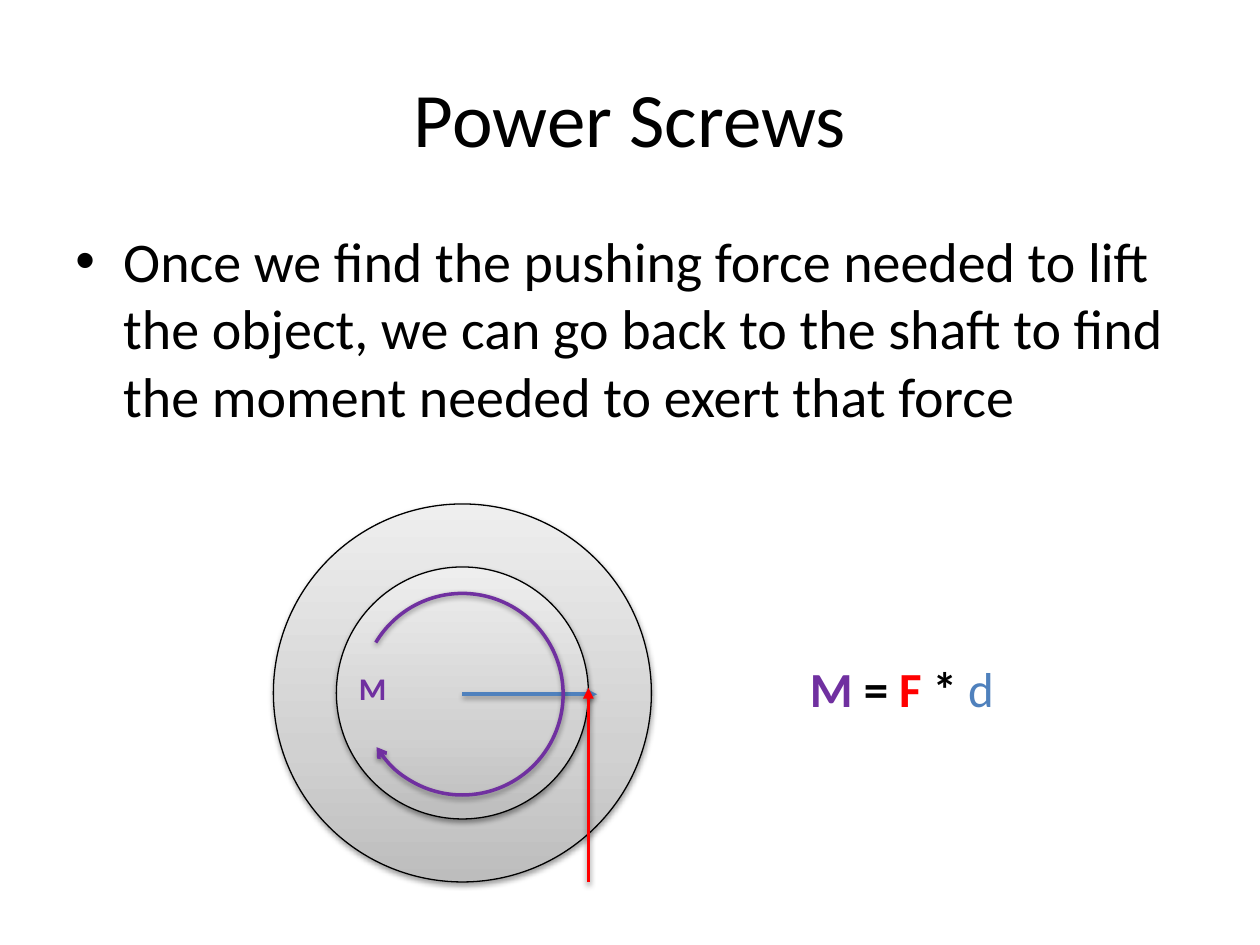
"""Builds the Power Screws slide: the moment that turns the shaft."""
import pptx
import pptx.util
import pptx.dml.color
import pptx.enum.shapes
import pptx.enum.text
import pptx.oxml
import pptx.oxml.ns
from dataclasses import dataclass

Inches = pptx.util.Inches
Pt = pptx.util.Pt
Color = pptx.dml.color.RGBColor.from_string
Shape = pptx.enum.shapes.MSO_SHAPE
Anchor = pptx.enum.text.MSO_ANCHOR
Align = pptx.enum.text.PP_ALIGN
NS = pptx.oxml.ns.nsdecls("a")


@dataclass
class Theme:
    font: str = "Calibri"
    ink: str = "000000"
    moment: str = "7030A0"
    force: str = "FF0000"
    arm: str = "4F81BD"
    stops: tuple = ((0, "BDBDBD"), (35, "D1D1D1"), (100, "EEEEEE"))
    head: int = 44
    body: int = 32
    sum: int = 28
    label: int = 18
    thin: float = 0.75
    thick: int = 2


theme = Theme()


def stroke(shape, color, width, tip=None):
    shape.line.color.rgb = Color(color)
    shape.line.width = Pt(width)
    if tip:
        shape.line._get_or_add_ln().append(
            pptx.oxml.parse_xml(f'<a:tailEnd {NS} type="{tip}"/>'))
    shape._element.spPr.append(pptx.oxml.parse_xml(
        f'<a:effectLst {NS}><a:outerShdw blurRad="40000" dist="20000" dir="5400000" '
        f'rotWithShape="0"><a:srgbClr val="{theme.ink}"><a:alpha val="38000"/>'
        '</a:srgbClr></a:outerShdw></a:effectLst>'))


def write(shape, size, runs, anchor=Anchor.TOP, align=Align.LEFT):
    frame = shape.text_frame
    frame.word_wrap = True
    frame.vertical_anchor = anchor
    para = frame.paragraphs[0]
    para.alignment = align
    for text, color, bold in runs:
        run = para.add_run()
        run.text = text
        run.font.name = theme.font
        run.font.size = Pt(size)
        run.font.bold = bold
        run.font.color.rgb = Color(color)


deck = pptx.Presentation()
deck.slide_width = Inches(10)
deck.slide_height = Inches(7.5)
slide = deck.slides.add_slide(deck.slide_layouts[5])
shapes = slide.shapes

title = shapes.title
title.left, title.top = Inches(0.5), Inches(0.3)
title.width, title.height = Inches(9), Inches(1.25)
write(title, theme.head, [("Power Screws", theme.ink, False)], Anchor.MIDDLE, Align.CENTER)

body = shapes.add_textbox(Inches(0.5), Inches(1.75), Inches(9), Inches(4.95))
props = body.text_frame.paragraphs[0]._p.get_or_add_pPr()
props.set("marL", str(Inches(0.38)))
props.set("indent", str(-Inches(0.38)))
props.append(pptx.oxml.parse_xml(f'<a:buFont {NS} typeface="Arial"/>'))
props.append(pptx.oxml.parse_xml(f'<a:buChar {NS} char="•"/>'))
write(body, theme.body, [(
    "Once we find the pushing force needed to lift the object, we can go back "
    "to the shaft to find the moment needed to exert that force", theme.ink, False)])

mid_x, mid_y = 3.67, 5.5
stops = "".join(f'<a:gs pos="{pos * 1000}"><a:srgbClr val="{color}"/></a:gs>'
                for pos, color in theme.stops)
for size in (3, 2):
    disc = shapes.add_shape(Shape.OVAL, Inches(mid_x - size / 2), Inches(mid_y - size / 2),
                            Inches(size), Inches(size))
    stroke(disc, theme.ink, theme.thin)
    disc._element.spPr.insert(2, pptx.oxml.parse_xml(
        f'<a:gradFill {NS} rotWithShape="1"><a:gsLst>{stops}</a:gsLst>'
        '<a:lin ang="16200000" scaled="0"/></a:gradFill>'))

for ends, color in (((mid_x, 5.51, 4.74, 5.51), theme.arm),
                    ((4.67, 7, 4.67, 5.46), theme.force)):
    line = shapes.add_connector(pptx.enum.shapes.MSO_CONNECTOR.STRAIGHT, *map(Inches, ends))
    stroke(line, color, theme.thick, "triangle")

arc = shapes.add_shape(Shape.ARC, Inches(2.87), Inches(4.71), Inches(1.6), Inches(1.6))
arc.adjustments[0] = 18.49
arc.adjustments[1] = 197
arc.fill.background()
for flip in ("flipH", "flipV"):
    arc._element.spPr.xfrm.set(flip, "1")
stroke(arc, theme.moment, theme.thick, "arrow")

label = shapes.add_textbox(Inches(2.75), Inches(5.26), Inches(0.53), Inches(0.4))
write(label, theme.label, [("M", theme.moment, True)])

sum_box = shapes.add_textbox(Inches(6.33), Inches(5.18), Inches(1.98), Inches(0.57))
write(sum_box, theme.sum, [
    ("M ", theme.moment, True), ("= ", theme.ink, True), ("F ", theme.force, True),
    ("* ", theme.ink, True), ("d", theme.arm, False)])

deck.save("out.pptx")
